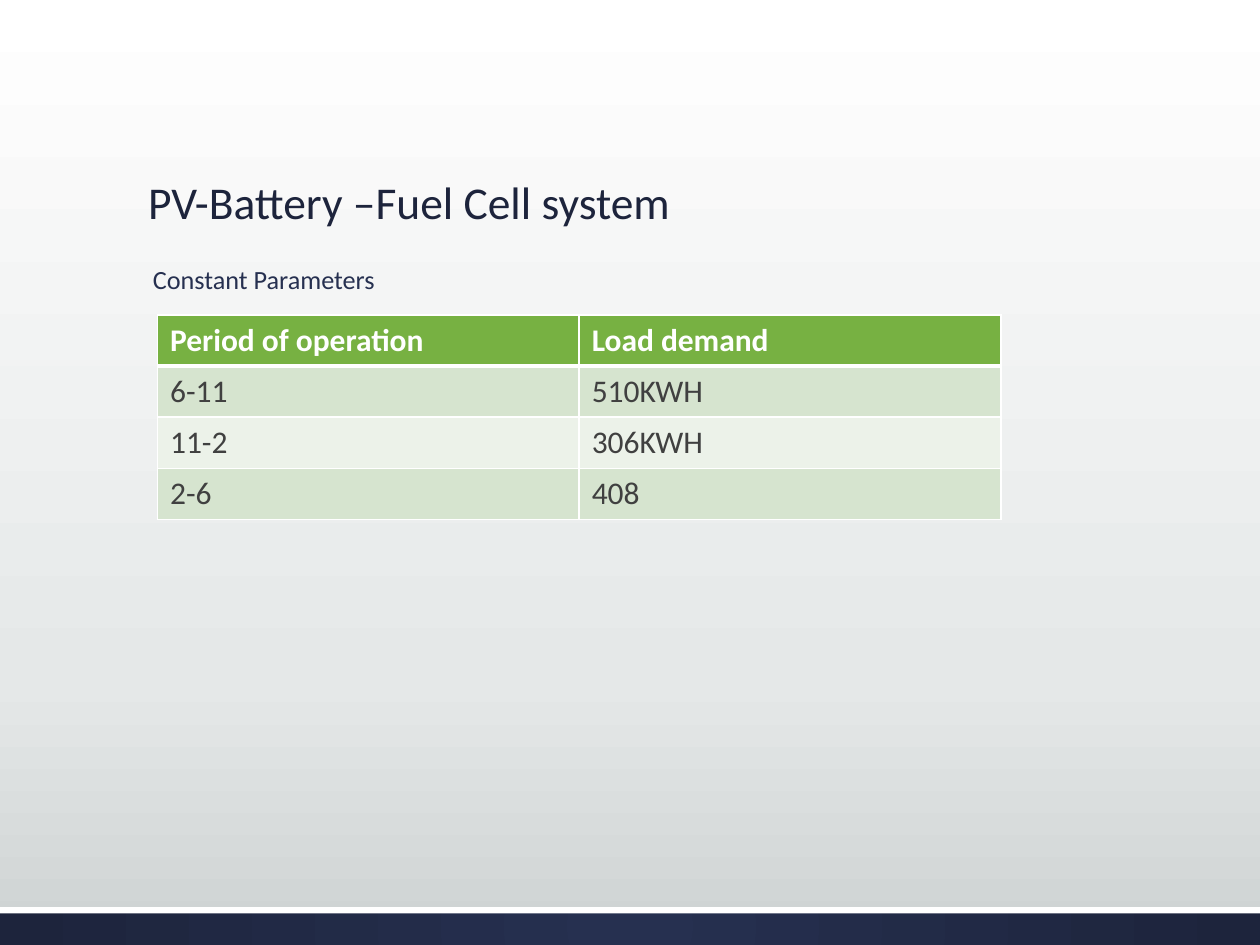
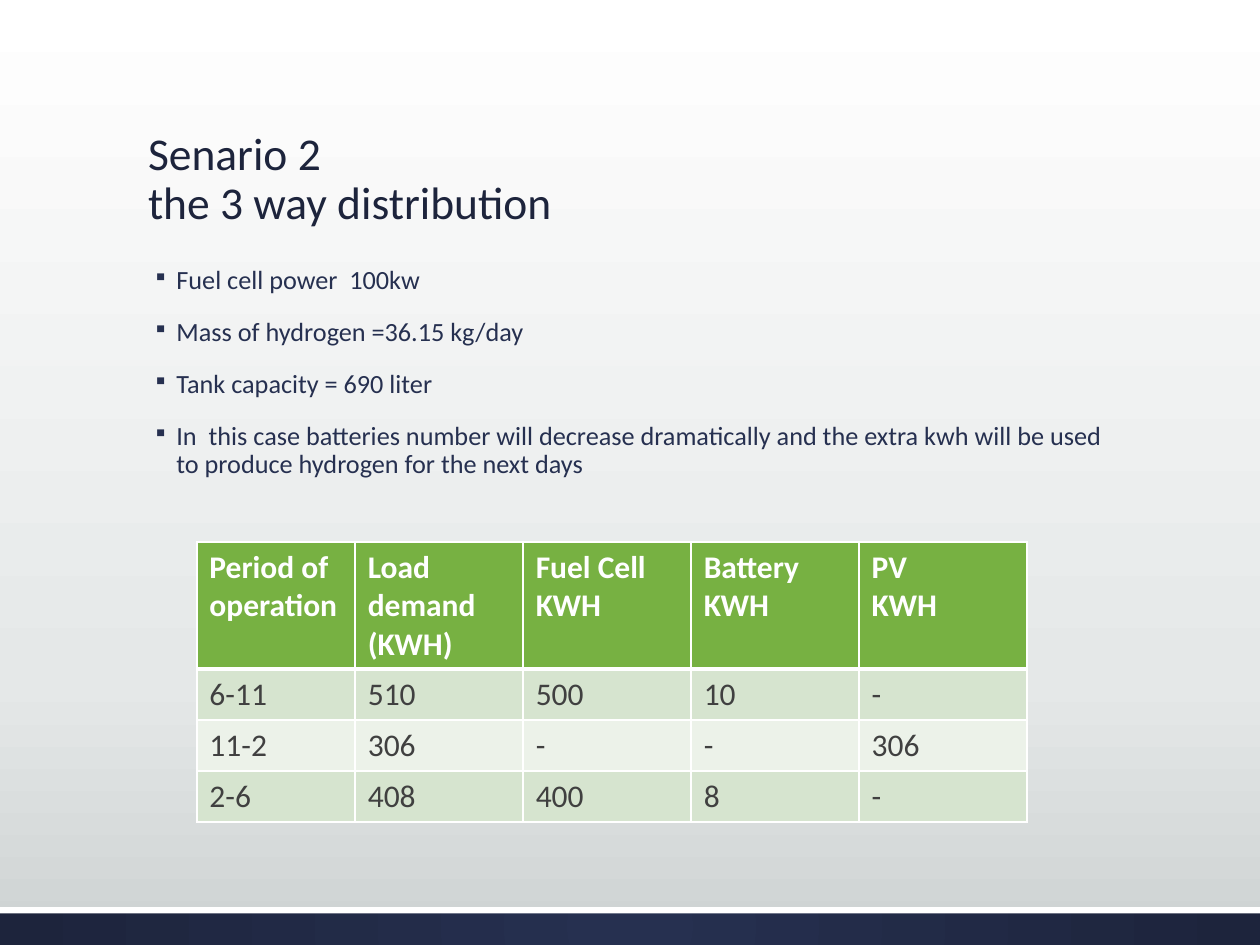
from lxml import etree
from pptx import Presentation
from pptx.dml.color import RGBColor
from pptx.enum.shapes import MSO_SHAPE
from pptx.enum.text import MSO_ANCHOR
from pptx.oxml.ns import qn
from pptx.util import Pt

RECTANGLE = MSO_SHAPE.RECTANGLE
TOP = MSO_ANCHOR.TOP
BOTTOM = MSO_ANCHOR.BOTTOM

WHITE = RGBColor(0xFF, 0xFF, 0xFF)
MIST = RGBColor(0xE5, 0xE8, 0xE8)
SILVER = RGBColor(0xCD, 0xD2, 0xD2)
NAVY = RGBColor(0x26, 0x30, 0x50)
DARK_NAVY = RGBColor(0x1D, 0x24, 0x3C)
GREEN = RGBColor(0x77, 0xB1, 0x42)
BAND_GREEN = RGBColor(0xD6, 0xE4, 0xCF)
PALE_GREEN = RGBColor(0xEC, 0xF2, 0xE9)
CHARCOAL = RGBColor(0x40, 0x40, 0x40)

FONT = "Calibri"
SLIDE_WIDTH, SLIDE_HEIGHT = 720, 540
FOOTER_TOP = 518.4
MARGIN, CONTENT_WIDTH = 79.2, 561.6
ROW_HEIGHT = 29.2


def add_xml(parent, tag, **attributes):
    return etree.SubElement(parent, qn(tag), attributes)


def add_solid(parent, color):
    add_xml(add_xml(parent, "a:solidFill"), "a:srgbClr", val=str(color))


class Deck:
    def __init__(self):
        self.presentation = Presentation()
        self.presentation.slide_width = Pt(SLIDE_WIDTH)
        self.presentation.slide_height = Pt(SLIDE_HEIGHT)
        self.slide = None

    def start_slide(self, title_lines):
        self.slide = self.presentation.slides.add_slide(self.presentation.slide_layouts[6])
        self.slide.background.fill.gradient()
        stops = self.set_stops(self.slide.element, [(0, WHITE), (72, MIST), (100, SILVER)])
        add_xml(stops, "a:lin", ang="5400000", scaled="0")
        footer = self.band(SLIDE_HEIGHT - FOOTER_TOP)
        footer.fill.gradient()
        stops = self.set_stops(footer.element, [(0, NAVY), (100, DARK_NAVY)])
        center = add_xml(stops, "a:path", path="circle")
        add_xml(center, "a:fillToRect", l="50000", t="50000", r="50000", b="50000")
        stripe = self.band(3.6)
        stripe.fill.solid()
        stripe.fill.fore_color.rgb = WHITE
        self.title(title_lines)

    def set_stops(self, owner, stops):
        gradient = owner.find(".//" + qn("a:gradFill"))
        for child in list(gradient):
            gradient.remove(child)
        stop_list = add_xml(gradient, "a:gsLst")
        for percent, color in stops:
            stop = add_xml(stop_list, "a:gs", pos=str(percent * 1000))
            add_xml(stop, "a:srgbClr", val=str(color))
        return gradient

    def band(self, height):
        band = self.slide.shapes.add_shape(
            RECTANGLE, 0, Pt(FOOTER_TOP), Pt(SLIDE_WIDTH), Pt(height))
        band.shadow.inherit = False
        band.line.fill.background()
        return band

    def run(self, paragraph, text, size, color, bold=False):
        run = paragraph.add_run()
        run.text = text
        run.font.name = FONT
        run.font.size = Pt(size)
        run.font.bold = bold
        run.font.color.rgb = color

    def text_frame(self, top, height, anchor):
        box = self.slide.shapes.add_textbox(Pt(MARGIN), Pt(top), Pt(CONTENT_WIDTH), Pt(height))
        frame = box.text_frame
        frame.word_wrap = True
        frame.vertical_anchor = anchor
        frame.margin_left = frame.margin_right = Pt(5.4)
        frame.margin_top = frame.margin_bottom = Pt(2.7)
        return frame

    def title(self, lines):
        paragraph = self.text_frame(36.7, 97.2, BOTTOM).paragraphs[0]
        paragraph.line_spacing = 0.9
        for index, line in enumerate(lines):
            if index:
                paragraph.add_line_break()
            self.run(paragraph, line, 26, DARK_NAVY)

    def body(self, lines, bulleted):
        frame = self.text_frame(149.8, 324.7, TOP)
        for index, line in enumerate(lines):
            paragraph = frame.add_paragraph() if index else frame.paragraphs[0]
            paragraph.line_spacing = 0.9
            paragraph.space_before = Pt(13.5)
            properties = paragraph._p.get_or_add_pPr()
            properties.set("marL", str(Pt(16.2)))
            properties.set("indent", str(Pt(-13.5)))
            if bulleted:
                add_xml(add_xml(properties, "a:buClr"), "a:srgbClr", val=str(NAVY))
                add_xml(properties, "a:buSzPct", val="80000")
                add_xml(properties, "a:buChar", char="▪")
            self.run(paragraph, line, 15, NAVY)

    def borders(self, cell, top, bottom):
        properties = cell._tc.get_or_add_tcPr()
        for side, width in (("L", 1), ("R", 1), ("T", top), ("B", bottom)):
            add_solid(add_xml(properties, "a:ln" + side, w=str(Pt(width))), WHITE)

    def table(self, left, top, widths, header_height, rows):
        heights = [header_height] + [ROW_HEIGHT] * (len(rows) - 1)
        table = self.slide.shapes.add_table(
            len(rows), len(widths), Pt(left), Pt(top),
            Pt(sum(widths)), Pt(sum(heights))).table
        for column, width in zip(table.columns, widths):
            column.width = Pt(width)
        for index, (row, height, values) in enumerate(zip(table.rows, heights, rows)):
            row.height = Pt(height)
            header = index == 0
            fill = GREEN if header else (BAND_GREEN if index % 2 else PALE_GREEN)
            for cell, value in zip(row.cells, values):
                self.borders(cell, 3 if index == 1 else 1, 3 if header else 1)
                cell.fill.solid()
                cell.fill.fore_color.rgb = fill
                frame = cell.text_frame
                for number, line in enumerate(value.split("\n")):
                    paragraph = frame.add_paragraph() if number else frame.paragraphs[0]
                    self.run(paragraph, line, 18, WHITE if header else CHARCOAL, header)

    def save(self):
        self.presentation.save("out.pptx")


def main():
    deck = Deck()

    deck.start_slide(["PV-Battery –Fuel Cell system"])
    deck.body(["Constant Parameters"], bulleted=False)
    deck.table(90, 180, [241] * 2, ROW_HEIGHT, [
        ["Period of operation", "Load demand"],
        ["6-11", "510KWH"],
        ["11-2", "306KWH"],
        ["2-6", "408"],
    ])

    deck.start_slide(["Senario 2", "the 3 way distribution"])
    deck.body([
        "Fuel cell power  100kw",
        "Mass of hydrogen =36.15 kg/day",
        "Tank capacity = 690 liter",
        "In  this case batteries number will decrease dramatically and the extra kwh "
        "will be used to produce hydrogen for the next days",
    ], bulleted=True)
    deck.table(112.5, 309.6, [90.5] + [96] * 4, 72.6, [
        ["Period of operation", "Load demand (KWH)", "Fuel Cell\nKWH", "Battery\nKWH", "PV\nKWH"],
        ["6-11", "510", "500", "10", "-"],
        ["11-2", "306", "-", "-", "306"],
        ["2-6", "408", "400", "8", "-"],
    ])

    deck.save()


if __name__ == "__main__":
    main()
